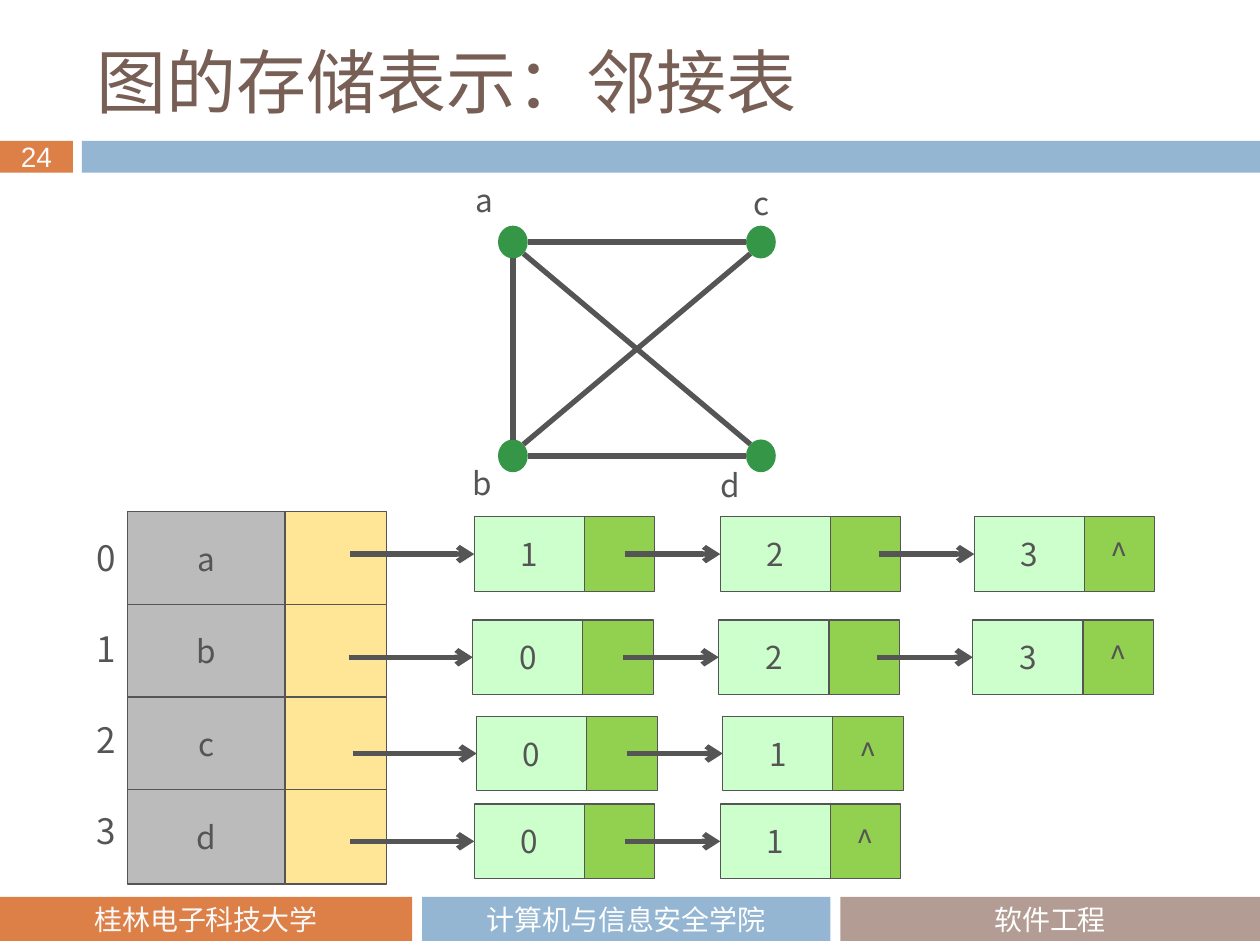
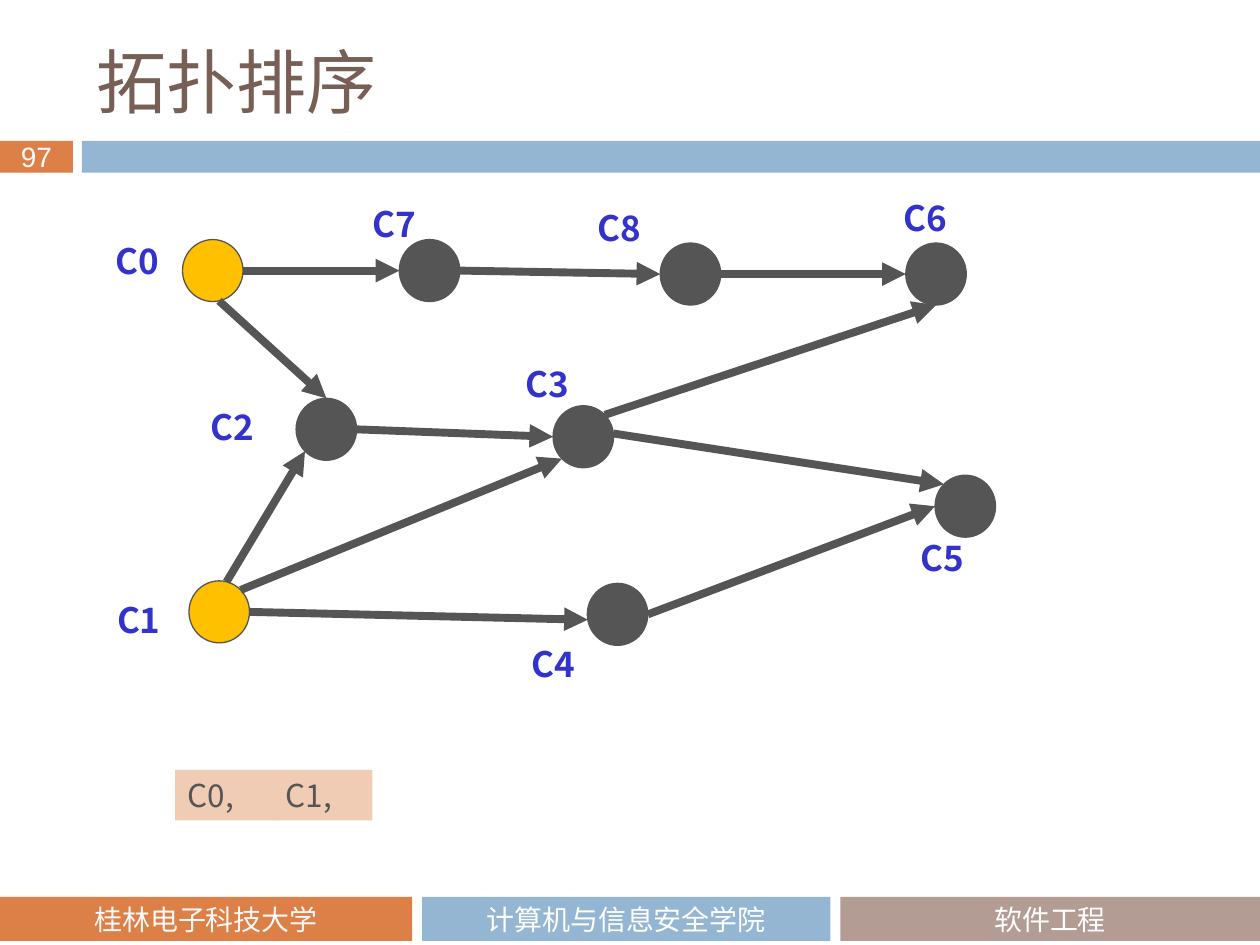
from math import cos, radians, sin

from lxml import etree
from pptx import Presentation
from pptx import util as u
from pptx.dml.color import RGBColor
from pptx.enum import shapes, text
from pptx.oxml import ns

# Shared look
COLORS = {
    "orange": "DD8047", "blue": "94B6D2", "taupe": "B29C93", "title": "775F55",
    "white": "FFFFFF", "pale": "F9F9F9", "ink": "555555", "label": "3333CC",
    "node": "369648", "vertex": "BBBBBB", "head": "FFE697",
    "value": "CCFFCC", "link": "92D050", "source": "FFC000", "queue": "F1CCB5",
}
SANS, TITLE_FONT = "Noto Sans CJK SC", "Noto Sans CJK JP"
BAND_TOP, BAND_H = 2.84, 0.64
FOOTER_TOP, FOOTER_H = 18.08, 0.89
FOOTERS = [  # text, left, width, fill, text colour
    ("桂林电子科技大学", 0, 8.31, "orange", "pale"),
    ("计算机与信息安全学院", 8.51, 8.23, "blue", "white"),
    ("软件工程", 16.94, 8.46, "taupe", "white"),
]

# Slide 1: undirected graph and its adjacency lists (lengths in cm)
GRAPH_SIZE = (0.6, 0.66)
GRAPH_NODES = {"a": (10.04, 4.55), "b": (10.04, 8.86),
               "c": (15.04, 4.55), "d": (15.04, 8.86)}
GRAPH_LABELS = {"a": (9.32, 3.53), "b": (9.27, 9.22),
                "c": (14.9, 3.58), "d": (14.28, 9.27)}
GRAPH_EDGES = [  # from, angle on its rim, to, angle on its rim
    ("a", 0, "c", 180), ("b", 0, "d", 180), ("a", 90, "b", 270),
    ("a", 45, "d", 225), ("b", -45, "c", 135),
]
ADJACENCY = [  # vertex, list left, list top, neighbours
    ("a", 9.56, 10.42, "123"),
    ("b", 9.53, 12.5, "023"),
    ("c", 9.61, 14.44, "01"),
    ("d", 9.56, 16.21, "01"),
]
VERTEX_LEFT, VERTEX_TOP, VERTEX_W, VERTEX_H, VERTEX_PITCH = 2.57, 10.31, 3.18, 1.9, 1.87
HEAD_W = 2.04
RECORD_OFFSETS = (0, 4.96, 10.08)
VALUE_W, LINK_W, RECORD_H = 2.22, 1.42, 1.5
ARROW_LENGTHS = (2.5, 1.93, 1.93)

# Slide 2: directed graph for topological sorting
COURSE_SIZE = (1.22, 1.25)
COURSES = {
    "C0": (3.68, 4.83), "C7": (8.05, 4.83), "C8": (13.31, 4.9),
    "C6": (18.26, 4.9), "C2": (5.97, 8.03), "C3": (11.15, 8.18),
    "C4": (11.84, 11.76), "C1": (3.81, 11.71), "C5": (18.85, 9.58),
}
COURSE_LABELS = {
    "C0": (2.08, 4.7), "C7": (7.26, 3.96), "C8": (11.79, 4.04),
    "C6": (17.96, 3.84), "C2": (3.99, 8.05), "C3": (10.34, 7.19),
    "C4": (10.46, 12.83), "C1": (2.11, 11.94), "C5": (18.31, 10.69),
}
COURSE_EDGES = [
    ("C0", 0, "C7", 180), ("C7", 0, "C8", 180), ("C8", 0, "C6", 180),
    ("C0", 78, "C2", 270), ("C1", -76, "C2", 135), ("C1", -45, "C3", 135),
    ("C1", 0, "C4", 170), ("C2", 0, "C3", 180), ("C3", -6, "C5", 225),
    ("C4", 0, "C5", 180), ("C3", -45, "C6", 90),
]
SOURCES = ["C0", "C1"]


def rgb(name):
    return RGBColor.from_string(COLORS[name])


def write(sp, content, size=18, font=SANS, color="ink", bold=False, align="CENTER",
          anchor="MIDDLE", inset=None, line_pt=None, gap_pt=0):
    tf = sp.text_frame
    tf.word_wrap = True
    tf.vertical_anchor = text.MSO_ANCHOR[anchor]
    if inset is not None:
        tf.margin_left = tf.margin_right = u.Cm(inset)
    for i, line in enumerate(content.split("\n")):
        p = tf.add_paragraph() if i else tf.paragraphs[0]
        p.alignment = text.PP_ALIGN[align]
        if line_pt:
            p.line_spacing = u.Pt(line_pt)
        if i:
            p.space_before = u.Pt(gap_pt)
        r = p.add_run()
        r.text = line
        r.font.size, r.font.bold, r.font.name = u.Pt(size), bold, font
        r.font.color.rgb = rgb(color)
        etree.SubElement(r._r.get_or_add_rPr(), ns.qn("a:ea"), typeface=font)


def label(s, content, left, top, width, height, **fmt):
    sp = s.shapes.add_textbox(*map(u.Cm, (left, top, width, height)))
    write(sp, content, **fmt)


def block(s, fill, left, top, width, height, content="", outline=False,
          kind="RECTANGLE", **fmt):
    sp = s.shapes.add_shape(shapes.MSO_SHAPE[kind],
                            *map(u.Cm, (left, top, width, height)))
    sp.shadow.inherit = False
    sp.fill.solid()
    sp.fill.fore_color.rgb = rgb(fill)
    if outline:
        sp.line.color.rgb, sp.line.width = rgb("ink"), u.Pt(0.75)
    else:
        sp.line.fill.background()
    if content:
        write(sp, content, **fmt)
    return sp


def line(s, start, end, width, head=None):
    c = s.shapes.add_connector(shapes.MSO_CONNECTOR.STRAIGHT,
                               *map(u.Cm, (*start, *end)))
    c.line.color.rgb, c.line.width = rgb("ink"), u.Pt(width)
    sp_pr = c._element.spPr
    if head:
        etree.SubElement(sp_pr.find(ns.qn("a:ln")), ns.qn("a:tailEnd"), type=head)
    etree.SubElement(sp_pr, ns.qn("a:effectLst"))
    return c


def rim(corner, size, angle):
    """Point on an ellipse's edge; angles run clockwise from the right."""
    turn = radians(angle)
    return [at + d / 2 * (1 + f) for at, d, f in zip(corner, size, (cos(turn), sin(turn)))]


def edges(s, links, nodes, size, width, head=None):
    for a, a_angle, b, b_angle in links:
        line(s, rim(nodes[a], size, a_angle), rim(nodes[b], size, b_angle), width, head)


def base_slide(prs, title, number):
    s = prs.slides.add_slide(prs.slide_layouts[6])
    block(s, "orange", 0, BAND_TOP, 1.47, BAND_H, number,
          size=16, font="Arial", color="pale", inset=0)
    block(s, "blue", 1.65, BAND_TOP, 23.75, BAND_H)
    for content, left, width, fill, color in FOOTERS:
        block(s, fill, left, FOOTER_TOP, width, FOOTER_H, content,
              size=16, font="Calibri", color=color)
    label(s, title, 1.7, 0.64, 22.66, 1.98,
          size=40, font=TITLE_FONT, color="title", align="LEFT")
    return s


def adjacency_slide(prs):
    s = base_slide(prs, "图的存储表示：邻接表", "24")

    # Graph
    for name, corner in GRAPH_NODES.items():
        block(s, "node", *corner, *GRAPH_SIZE, kind="OVAL")
        label(s, name, *GRAPH_LABELS[name], 0.9, 1.02, inset=0)
    edges(s, GRAPH_EDGES, GRAPH_NODES, GRAPH_SIZE, 3)

    # Vertex array with its indices
    indices = "\n".join(str(i) for i in range(len(ADJACENCY)))
    label(s, indices, 1.65, 10.62, 0.97, 6.73, size=20, anchor="TOP",
          inset=0, line_pt=26, gap_pt=26)
    for i, (vertex, *_) in enumerate(ADJACENCY):
        top = VERTEX_TOP + i * VERTEX_PITCH
        block(s, "vertex", VERTEX_LEFT, top, VERTEX_W, VERTEX_H, vertex, outline=True)
        block(s, "head", VERTEX_LEFT + VERTEX_W, top, HEAD_W, VERTEX_H, outline=True)

    # Linked records, each reached by an arrow
    for _, row_left, top, neighbours in ADJACENCY:
        last = len(neighbours) - 1
        for i, value in enumerate(neighbours):
            left, mid = row_left + RECORD_OFFSETS[i], top + RECORD_H / 2
            record = block(s, "value", left, top, VALUE_W, RECORD_H, value, outline=True)
            block(s, "link", left + VALUE_W, top, LINK_W, RECORD_H,
                  "^" if i == last else "", outline=True)
            arrow = line(s, (left - ARROW_LENGTHS[i], mid), (left, mid), 3, "arrow")
            arrow.end_connect(record, 1)


def topology_slide(prs):
    s = base_slide(prs, "拓扑排序", "97")

    # Course graph
    for name, corner in COURSES.items():
        block(s, "source" if name in SOURCES else "ink", *corner, *COURSE_SIZE,
              outline=True, kind="OVAL")
        label(s, name, *COURSE_LABELS[name], 1.75, 1.12,
              size=20, color="label", bold=True, align="LEFT", anchor="TOP")
    edges(s, COURSE_EDGES, COURSES, COURSE_SIZE, 4.5, "triangle")

    # Sorted sequence so far
    for i, name in enumerate(SOURCES):
        block(s, "queue", 3.53 + i * 1.98, 15.52, 2, 1.02, name + ",",
              align="LEFT", anchor="TOP")


def main():
    prs = Presentation()
    prs.slide_width, prs.slide_height = u.Cm(25.4), u.Cm(19.05)
    adjacency_slide(prs)
    topology_slide(prs)
    prs.save("out.pptx")


if __name__ == "__main__":
    main()
